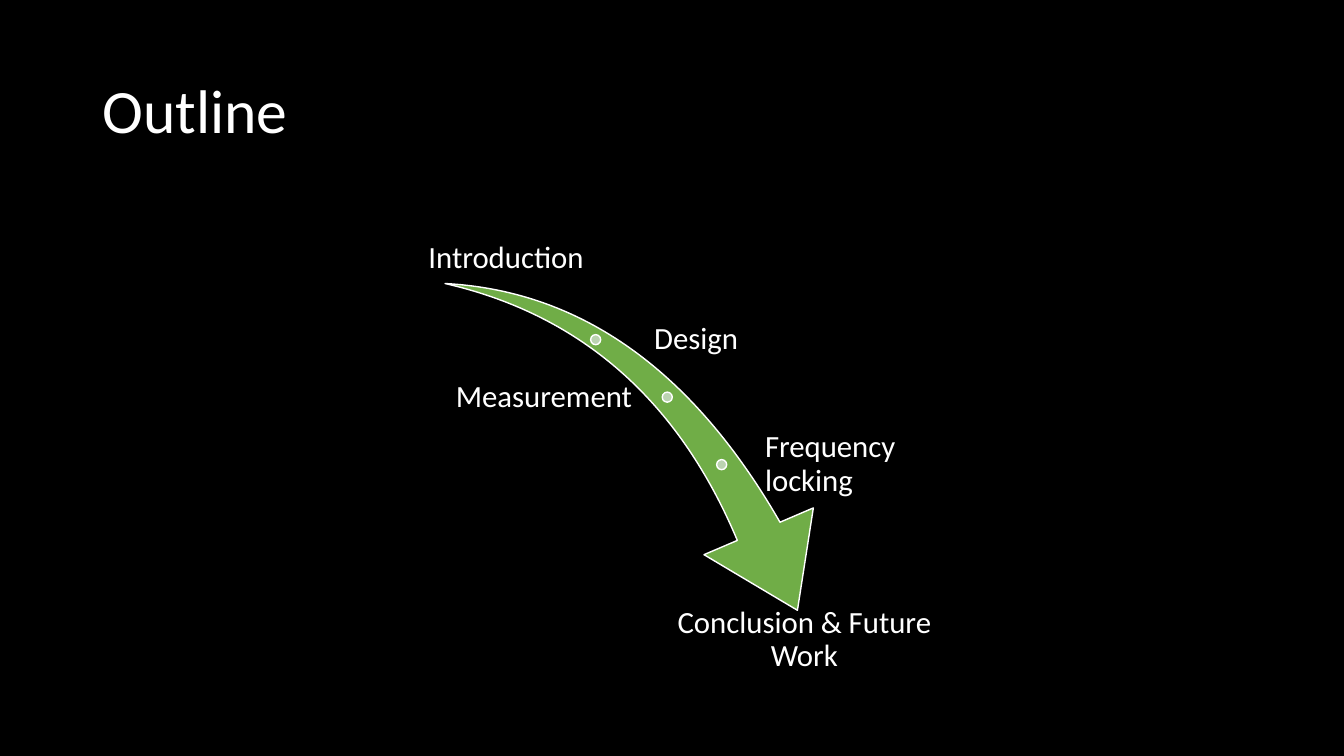
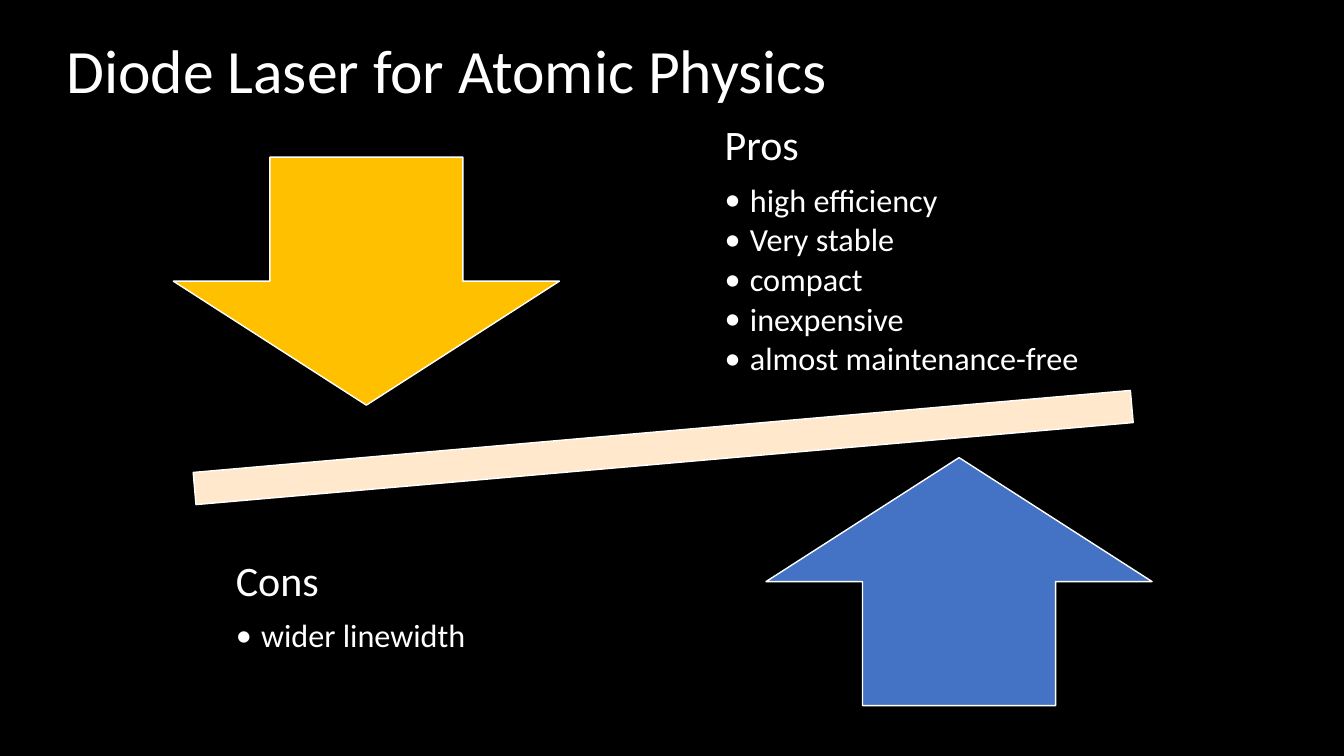
"""Build two black slides: a talk outline and a pros and cons balance."""
from lxml.etree import SubElement
from pptx import Presentation
from pptx.dml.color import RGBColor
from pptx.enum.shapes import MSO_SHAPE as Shape
from pptx.enum.text import MSO_ANCHOR as Anchor, PP_ALIGN as Align
from pptx.oxml.ns import qn
from pptx.util import Emu, Inches, Pt

FONT = "Calibri"
BLACK, WHITE, GREEN, PALE_GREEN = "000000", "FFFFFF", "70AD47", "BBD3B1"
GOLD, BLUE, CREAM = "FFC000", "4472C4", "FFE8CC"

LABEL_HEIGHT, LABEL_INSET, DOT = 0.76, 0.03, 0.1
OUTLINE_LEFT, OUTLINE_RIGHT = 4.05, 9.29
SWOOSH = (4.32, 2.94, 4.11, 2.86)
ENDS = [
    ("Introduction", OUTLINE_LEFT, 2, 1.94, Anchor.BOTTOM),
    ("Conclusion & Future Work", 6.67, 5.99, 2.62, Anchor.TOP),
]
STOPS = [
    ("Design", 5.91, 3.37, 6.46, OUTLINE_RIGHT, Align.LEFT),
    ("Measurement", 6.62, 3.94, OUTLINE_LEFT, 6.3, Align.RIGHT),
    ("Frequency locking", 7.16, 4.61, 7.56, OUTLINE_RIGHT, Align.LEFT),
]

ARROW_SIZE = (3.83, 2.46)
BEAM = (0.23, 3.76, 12.7, 1.36)
ARROWS = [(Shape.DOWN_ARROW, (1.72, 1.56), GOLD), (Shape.UP_ARROW, (7.6, 4.54), BLUE)]
SIDES = [
    ("Pros", ["high efficiency", "Very stable", "compact", "inexpensive",
              "almost maintenance-free"], (6.96, 0.81, 4.09, 3.36)),
    ("Cons", ["wider linewidth"], (2.11, 4.73, 4.09, 2.59)),
]


def color(code):
    return RGBColor.from_string(code)


def add_bullet(paragraph, indent=0.25):
    properties = paragraph._p.get_or_add_pPr()
    properties.set("marL", str(Inches(indent)))
    properties.set("indent", str(-Inches(indent)))
    SubElement(properties, qn("a:buFont")).set("typeface", FONT)
    SubElement(properties, qn("a:buChar")).set("char", "•")


def add_text(slide, text, box, size=22, bullets=(), bullet_size=23, align=Align.LEFT,
             anchor=Anchor.MIDDLE, inset=LABEL_INSET, after=0.35):
    frame = slide.shapes.add_textbox(*map(Inches, box)).text_frame
    frame.word_wrap = True
    frame.vertical_anchor = anchor
    frame.margin_left = frame.margin_right = Inches(inset)
    frame.margin_top = frame.margin_bottom = Inches(min(inset, box[3] / 2))
    lines = [(text, size, after)] + [(line, bullet_size, 0.15) for line in bullets]
    for number, (line, points, share) in enumerate(lines):
        paragraph = frame.add_paragraph() if number else frame.paragraphs[0]
        paragraph.alignment = align
        paragraph.line_spacing = 0.9
        paragraph.space_after = Pt(points * share)
        if number:
            add_bullet(paragraph)
        run = paragraph.add_run()
        run.text = line
        run.font.name = FONT
        run.font.size = Pt(points)
        run.font.color.rgb = color(WHITE)


def add_figure(slide, kind, box, fill, rotation=0, adjustments=()):
    shape = slide.shapes.add_shape(kind, *map(Inches, box))
    shape.shadow.inherit = False
    shape.rotation = rotation
    shape.fill.solid()
    shape.fill.fore_color.rgb = color(fill)
    shape.line.color.rgb = color(WHITE)
    shape.line.width = Pt(1)
    for number, value in enumerate(adjustments):
        shape.adjustments[number] = value


def add_slide(presentation, title, left, top):
    slide = presentation.slides.add_slide(presentation.slide_layouts[6])
    add_text(slide, title, (left, top, 11.5, 1.45), size=44, inset=0.1, after=0)
    return slide


def build_outline(presentation):
    slide = add_slide(presentation, "Outline", 0.92, 0.4)
    add_figure(slide, Shape.SWOOSH_ARROW, SWOOSH, GREEN, 73.3, (0.16, 0.31))
    for text, x, y, left, right, align in STOPS:
        add_figure(slide, Shape.OVAL, (x - DOT / 2, y - DOT / 2, DOT, DOT), PALE_GREEN)
        box = (left, y - LABEL_HEIGHT / 2, right - left, LABEL_HEIGHT)
        add_text(slide, text, box, align=align)
    for text, left, top, width, anchor in ENDS:
        add_text(slide, text, (left, top, width, LABEL_HEIGHT),
                 align=Align.CENTER, anchor=anchor)


def build_balance(presentation):
    slide = add_slide(presentation, "Diode Laser for Atomic Physics", 0.56, 0)
    add_figure(slide, Shape.MATH_MINUS, BEAM, CREAM, 355)
    for kind, corner, fill in ARROWS:
        add_figure(slide, kind, corner + ARROW_SIZE, fill)
    for heading, points, box in SIDES:
        add_text(slide, heading, box, size=30, bullets=points, inset=0.23)


def main():
    presentation = Presentation()
    presentation.slide_width = Emu(12192000)
    presentation.slide_height = Inches(7.5)
    background = presentation.slide_master.background.fill
    background.solid()
    background.fore_color.rgb = color(BLACK)
    build_outline(presentation)
    build_balance(presentation)
    presentation.save("out.pptx")


if __name__ == "__main__":
    main()
